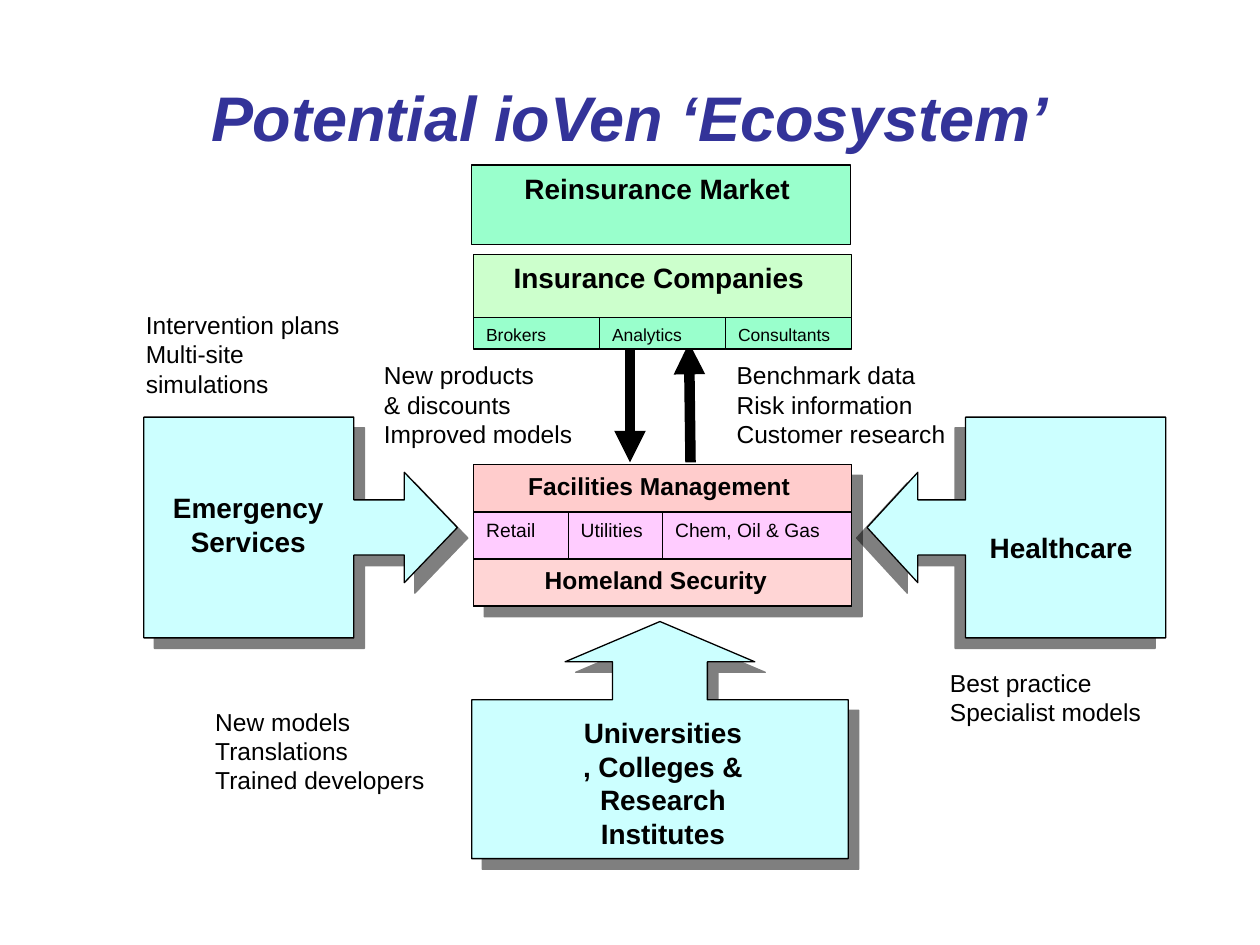
"""Build the ecosystem slide: market blocks, callouts and the flows between them."""
from lxml import etree
from pptx import Presentation
from pptx.dml.color import RGBColor
from pptx.enum.shapes import MSO_CONNECTOR, MSO_SHAPE
from pptx.enum.text import MSO_ANCHOR, PP_ALIGN
from pptx.oxml import parse_xml
from pptx.oxml.ns import nsdecls, qn
from pptx.util import Cm, Pt

BLACK = RGBColor(0x00, 0x00, 0x00)
WHITE = RGBColor(0xFF, 0xFF, 0xFF)
NAVY = RGBColor(0x33, 0x33, 0x99)
SKY = RGBColor(0xCC, 0xFF, 0xFF)
MINT = RGBColor(0x99, 0xFF, 0xCC)
PALE_GREEN = RGBColor(0xCC, 0xFF, 0xCC)
ROSE = RGBColor(0xFF, 0xCC, 0xCC)
PALE_ROSE = RGBColor(0xFF, 0xD5, 0xD5)
ORCHID = RGBColor(0xFF, 0xCC, 0xFF)

FONT = "Arial"
STACK_LEFT, STACK_WIDTH = 9.55, 7.62
ROW_HEIGHT = 0.95
FACILITIES_TOP = 9.37


def write_text(holder, text, size=14, bold=False, italic=False, color=BLACK,
               align=PP_ALIGN.LEFT, anchor=MSO_ANCHOR.TOP):
    frame = holder.text_frame
    frame.word_wrap = True
    frame.vertical_anchor = anchor
    frame.text = text
    for paragraph in frame.paragraphs:
        paragraph.alignment = align
        font = paragraph.font
        font.name, font.size, font.color.rgb = FONT, Pt(size), color
        font.bold, font.italic = bold, italic


def add_label(slide, box, text, **style):
    label = slide.shapes.add_textbox(*map(Cm, box))
    write_text(label, text, **style)


def add_block(slide, box, fill, text="", kind=MSO_SHAPE.RECTANGLE,
              outlined=True, **style):
    block = slide.shapes.add_shape(kind, *map(Cm, box))
    block.shadow.inherit = False
    block.fill.solid()
    block.fill.fore_color.rgb = fill
    if outlined:
        block.line.color.rgb = BLACK
        block.line.width = Pt(0.75)
    else:
        block.line.fill.background()
    if text:
        write_text(block, text, **style)
    return block


def add_row(slide, top, height, fill, cells, size):
    left = STACK_LEFT
    for text, width in cells:
        add_block(slide, (left, top, width, height), fill, text, size=size)
        left += width


def cast_shadow(block, angle=45):
    effects = block._element.spPr.find(qn("a:effectLst"))
    effects.append(parse_xml(
        f'<a:outerShdw {nsdecls("a")} dist="{Pt(8.5)}" dir="{angle * 60000}" '
        'algn="ctr" rotWithShape="0"><a:srgbClr val="000000">'
        '<a:alpha val="50000"/></a:srgbClr></a:outerShdw>'))


def add_callout(slide, kind, box, proportions, angle=45):
    callout = add_block(slide, box, SKY, kind=kind)
    for index, proportion in enumerate(proportions):
        callout.adjustments[index] = proportion
    cast_shadow(callout, angle)


def add_arrow(slide, start, end):
    arrow = slide.shapes.add_connector(
        MSO_CONNECTOR.STRAIGHT, *map(Cm, start + end))
    arrow.line.color.rgb = BLACK
    arrow.line.width = Pt(6)
    etree.SubElement(arrow.line._get_or_add_ln(), qn("a:tailEnd"), type="triangle")
    etree.SubElement(arrow._element.spPr, qn("a:effectLst"))


def add_facilities(slide):
    backing = add_block(
        slide, (STACK_LEFT, FACILITIES_TOP, STACK_WIDTH, 3 * ROW_HEIGHT), WHITE)
    cast_shadow(backing)
    for row, fill, text in ((0, ROSE, "Facilities Management "),
                            (2, PALE_ROSE, "Homeland Security  ")):
        box = (STACK_LEFT, FACILITIES_TOP + row * ROW_HEIGHT, STACK_WIDTH, ROW_HEIGHT)
        add_block(slide, box, fill, text, bold=True, align=PP_ALIGN.CENTER)
    quarter = STACK_WIDTH / 4
    sectors = (("Retail", quarter), ("Utilities", quarter),
               ("Chem, Oil & Gas", 2 * quarter))
    add_row(slide, FACILITIES_TOP + ROW_HEIGHT, ROW_HEIGHT, ORCHID, sectors, 11)


def add_insurance(slide):
    heading = {"size": 16, "bold": True, "align": PP_ALIGN.CENTER}
    add_block(slide, (STACK_LEFT, 5.13, STACK_WIDTH, 1.27), PALE_GREEN,
              "Insurance Companies ", **heading)
    add_block(slide, (9.5, 3.33, 7.65, 1.6), MINT, "Reinsurance Market ", **heading)
    roles = [(role, STACK_WIDTH / 3) for role in ("Brokers", "Analytics", "Consultants")]
    add_row(slide, 6.4, 0.64, MINT, roles, 10)


def add_partners(slide):
    add_callout(slide, MSO_SHAPE.RIGHT_ARROW_CALLOUT, (2.9, 8.41, 6.32, 4.45),
                (0.25, 0.25, 0.24, 0.67))
    add_callout(slide, MSO_SHAPE.LEFT_ARROW_CALLOUT, (17.48, 8.41, 6.02, 4.45),
                (0.25, 0.25, 0.23, 0.67), angle=135)
    add_callout(slide, MSO_SHAPE.UP_ARROW_CALLOUT, (9.51, 12.53, 7.59, 4.78),
                (0.4, 0.4, 0.17, 0.67))
    name = {"size": 16, "bold": True, "align": PP_ALIGN.CENTER}
    add_block(slide, (19.69, 9.93, 3.4, 1.57), SKY, "Healthcare",
              outlined=False, anchor=MSO_ANCHOR.BOTTOM, **name)
    add_block(slide, (3.1, 9.78, 3.81, 1.57), SKY, "Emergency Services",
              outlined=False, anchor=MSO_ANCHOR.MIDDLE, **name)
    add_label(slide, (11.46, 14.3, 3.81, 2.24),
              "Universities, Colleges & Research Institutes", **name)


def add_flow_notes(slide):
    notes = (
        ((7.49, 7.14, 5, 2), "New products\n& discounts\nImproved models"),
        ((14.6, 7.14, 4.9, 2.5),
         "Benchmark data\nRisk information\nCustomer research"),
        ((4.09, 14.12, 5, 2.08), "New models\nTranslations\nTrained developers"),
        ((18.9, 13.34, 4.6, 1.6), "Best practice\nSpecialist models"),
        ((2.69, 6.12, 4.8, 2), "Intervention plans\nMulti-site simulations"),
    )
    for box, text in notes:
        add_label(slide, box, text)


def main():
    deck = Presentation()
    deck.slide_width, deck.slide_height = Cm(25.4), Cm(19.05)
    slide = deck.slides.add_slide(deck.slide_layouts[6])
    add_arrow(slide, (12.7, 6.91), (12.7, 9.32))
    add_arrow(slide, (13.92, 9.32), (13.89, 6.91))
    add_label(slide, (1.27, 0.76, 22.86, 3.18), "Potential ioVen ‘Ecosystem’",
              size=36, bold=True, italic=True, color=NAVY,
              align=PP_ALIGN.CENTER, anchor=MSO_ANCHOR.MIDDLE)
    add_facilities(slide)
    add_insurance(slide)
    add_partners(slide)
    add_flow_notes(slide)
    deck.save("out.pptx")


if __name__ == "__main__":
    main()
